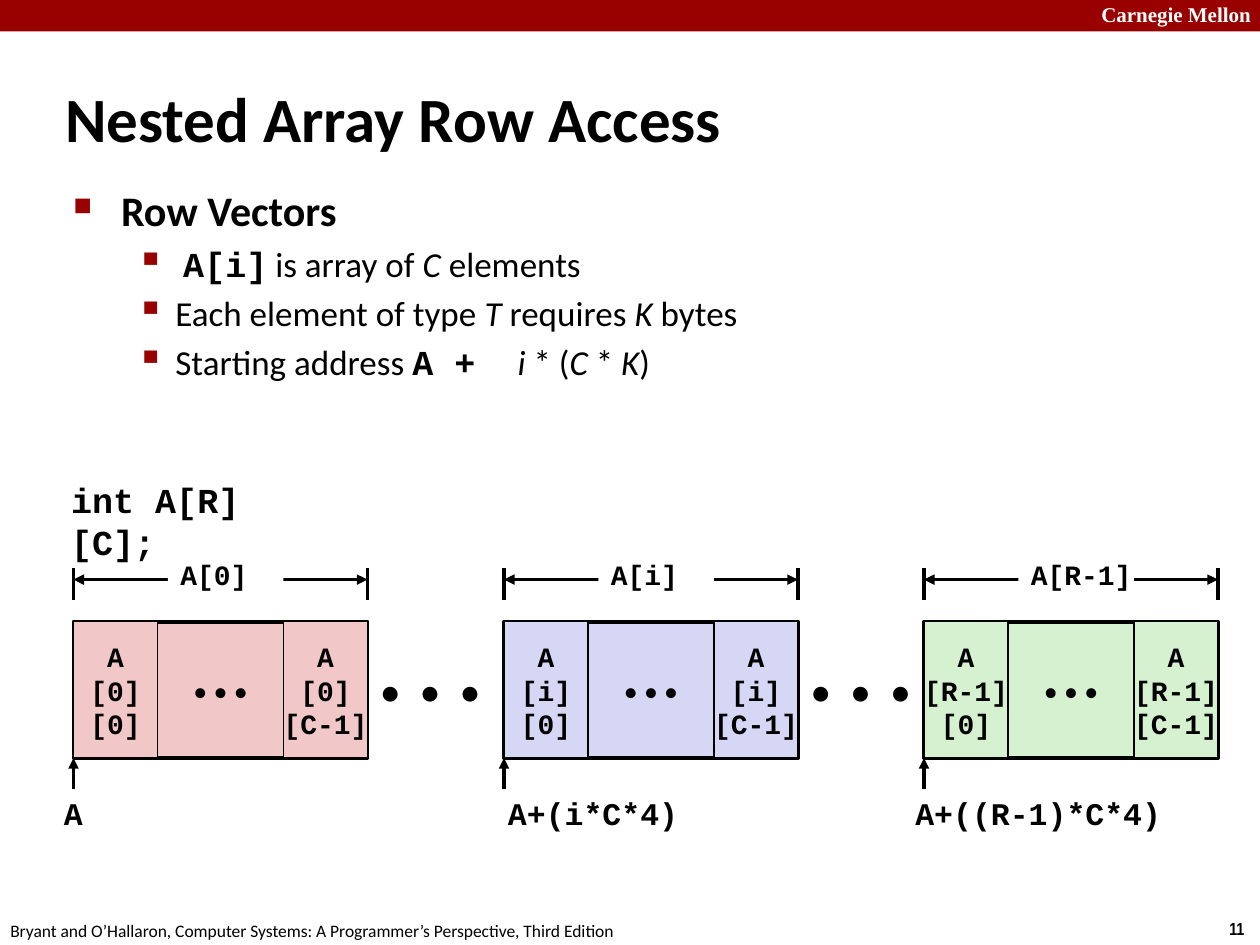
from dataclasses import dataclass

from lxml import etree
from pptx import Presentation
from pptx.dml.color import RGBColor
from pptx.enum import shapes, text
from pptx.oxml.ns import qn
from pptx.util import Inches, Pt

BLACK = RGBColor(0x00, 0x00, 0x00)
WHITE = RGBColor(0xFF, 0xFF, 0xFF)
CRIMSON = RGBColor(0x99, 0x00, 0x00)
PINK = RGBColor(0xF1, 0xC7, 0xC7)
LAVENDER = RGBColor(0xD6, 0xD6, 0xF5)
MINT = RGBColor(0xD5, 0xF1, 0xCF)

SANS, MONO = "Calibri", "Courier New"

# Grid: 120 columns by 90 rows, twelve to the inch
UNIT = Inches(1) / 12
ROW_WIDTH, CELL_WIDTH, CELL_HEIGHT = 28, 8, 13
TICK_TOP, SPAN_LINE, TICK_BOTTOM = 54.1, 55.2, 57.1
CELL_TOP = 59.2
CELL_BOTTOM = CELL_TOP + CELL_HEIGHT
POINTER_BOTTOM = 75.1


@dataclass
class Style:
    size: float
    font: str = SANS
    bold: bool = False
    italic: bool = False
    color: RGBColor = BLACK


@dataclass
class ArrayRow:
    column: float
    index: str
    fill: RGBColor
    address: str
    address_column: float
    address_width: float


@dataclass
class Bullet:
    runs: list
    size: float
    mark: str
    mark_percent: int
    margin: float
    hanging: float
    space_before: float = 0


ROWS = [
    ArrayRow(7, "0", PINK, "A", 4.9, 5),
    ArrayRow(48, "i", LAVENDER, "A+(i*C*4)", 47.2, 23.8),
    ArrayRow(88, "R-1", MINT, "A+((R-1)*C*4)", 86, 30),
]


def grid(*cells: float) -> list:
    return [round(cell * UNIT) for cell in cells]


def add_run(paragraph, words: str, style: Style) -> None:
    run = paragraph.add_run()
    run.text = words
    font = run.font
    font.name, font.size = style.font, Pt(style.size)
    font.bold, font.italic = style.bold, style.italic
    font.color.rgb = style.color


def add_text(slide, place: list, words: str, style: Style, wrap: bool = True) -> None:
    frame = slide.shapes.add_textbox(*grid(*place)).text_frame
    frame.word_wrap = wrap
    add_run(frame.paragraphs[0], words, style)


def add_box(parent, place: list, lines: list, style: Style, fill: RGBColor,
            border: float = 0, align=text.PP_ALIGN.CENTER) -> None:
    shape = parent.shapes.add_shape(shapes.MSO_SHAPE.RECTANGLE, *grid(*place))
    shape.shadow.inherit = False
    shape.fill.solid()
    shape.fill.fore_color.rgb = fill
    if border:
        shape.line.color.rgb = BLACK
        shape.line.width = Pt(border)
    else:
        shape.line.fill.background()
    frame = shape.text_frame
    frame.word_wrap = False
    frame.vertical_anchor = text.MSO_ANCHOR.MIDDLE
    for number, words in enumerate(lines):
        paragraph = frame.add_paragraph() if number else frame.paragraphs[0]
        paragraph.alignment = align
        add_run(paragraph, words, style)


def add_line(parent, ends: list, arrows: tuple = ()) -> None:
    connector = parent.shapes.add_connector(shapes.MSO_CONNECTOR.STRAIGHT, *grid(*ends))
    connector.line.color.rgb = BLACK
    connector.line.width = Pt(2)
    properties = connector._element.spPr
    for arrow in arrows:
        etree.SubElement(properties.find(qn("a:ln")), qn(f"a:{arrow}"), type="triangle")
    etree.SubElement(properties, qn("a:effectLst"))


def add_bullet(paragraph, bullet: Bullet) -> None:
    paragraph.space_before = Pt(bullet.space_before)
    properties = paragraph._p.get_or_add_pPr()
    properties.set("marL", str(Inches(bullet.margin)))
    properties.set("indent", str(-Inches(bullet.hanging)))
    color = etree.SubElement(properties, qn("a:buClr"))
    etree.SubElement(color, qn("a:srgbClr"), val=str(CRIMSON))
    etree.SubElement(properties, qn("a:buSzPct"), val=str(bullet.mark_percent * 1000))
    etree.SubElement(properties, qn("a:buChar"), char=bullet.mark)
    for words, look in bullet.runs:
        add_run(paragraph, words, Style(bullet.size, **look))


def add_array_row(slide, row: ArrayRow) -> None:
    group = slide.shapes.add_group_shape()
    left, right = row.column, row.column + ROW_WIDTH
    mono = Style(16, MONO, bold=True)

    # Whole row, then its first and last elements
    add_box(group, [left, CELL_TOP, ROW_WIDTH, CELL_HEIGHT], ["• • •"],
            Style(16), row.fill, 2.25)
    for column, element in ((left, "0"), (right - CELL_WIDTH, "C-1")):
        add_box(group, [column, CELL_TOP, CELL_WIDTH, CELL_HEIGHT],
                ["A", f"[{row.index}]", f"[{element}]"], mono, row.fill, 1)

    # Span marker with its label
    for column in (left, right):
        add_line(group, [column, TICK_TOP, column, TICK_BOTTOM])
    add_line(group, [left, SPAN_LINE, right, SPAN_LINE], ("headEnd", "tailEnd"))
    add_box(group, [left + 9, 52.2, 11, 5], [f"A[{row.index}]"], mono, WHITE,
            align=text.PP_ALIGN.LEFT)

    # Start address
    add_line(slide, [left, POINTER_BOTTOM, left, CELL_BOTTOM], ("tailEnd",))
    add_text(slide, [row.address_column, 75, row.address_width, 4.8],
             row.address, Style(18, MONO, bold=True))


def main() -> None:
    presentation = Presentation()
    presentation.slide_width, presentation.slide_height = grid(120, 90)
    slide = presentation.slides.add_slide(presentation.slide_layouts[5])

    # Header band and footer
    add_box(slide, [0, 0, 120, 3], [], Style(12), CRIMSON)
    add_text(slide, [103.7, -0.4, 17.2, 3.6], "Carnegie Mellon",
             Style(12, "Times New Roman", bold=True, color=WHITE))
    add_text(slide, [115.9, 86.8, 4.1, 3.2], "11",
             Style(10, "Arial Narrow", bold=True), wrap=False)
    add_text(slide, [-0.2, 87, 61, 3.2],
             "Bryant and O’Hallaron, Computer Systems: "
             "A Programmer’s Perspective, Third Edition", Style(10), wrap=False)

    # Title
    title = slide.shapes.title
    title.left, title.top, title.width, title.height = grid(5, 7.4, 91, 7.6)
    title.text_frame.vertical_anchor = text.MSO_ANCHOR.MIDDLE
    title.text_frame.auto_size = text.MSO_AUTO_SIZE.NONE
    paragraph = title.text_frame.paragraphs[0]
    paragraph.alignment = text.PP_ALIGN.LEFT
    add_run(paragraph, "Nested Array Row Access", Style(36, bold=True))

    # Bullets
    plain, italic = {}, {"italic": True}
    code = {"font": MONO, "bold": True}
    details = [
        [(" ", plain), ("A[i]", code), (" is array of ", plain), ("C", italic),
         (" elements", plain)],
        [("Each element of type ", plain), ("T ", italic), ("requires ", plain),
         ("K ", italic), ("bytes", plain)],
        [("Starting address ", plain), ("A +  ", code), ("i", italic), (" * (", plain),
         ("C ", italic), ("* ", plain), ("K", italic), (")", plain)],
    ]
    bullets = [Bullet([("Row Vectors", {"bold": True})], 24, "■", 60, 0.38, 0.38)]
    bullets += [Bullet(runs, 20, "▪", 110, 0.81, 0.31, 4) for runs in details]
    frame = slide.shapes.add_textbox(*grid(5.8, 17, 78, 19)).text_frame
    frame.word_wrap = True
    for number, bullet in enumerate(bullets):
        add_bullet(frame.add_paragraph() if number else frame.paragraphs[0], bullet)

    # Declaration
    add_text(slide, [5.6, 45, 26.4, 5.2], "int A[R][C];",
             Style(20, MONO, bold=True), wrap=False)

    # Dots between the rows, then the rows
    for row in ROWS[:-1]:
        add_box(slide, [row.column + ROW_WIDTH, CELL_TOP, 13, CELL_HEIGHT],
                ["•  •  •"], Style(24), WHITE, align=text.PP_ALIGN.LEFT)
    for row in ROWS:
        add_array_row(slide, row)

    presentation.save("out.pptx")


if __name__ == "__main__":
    main()
